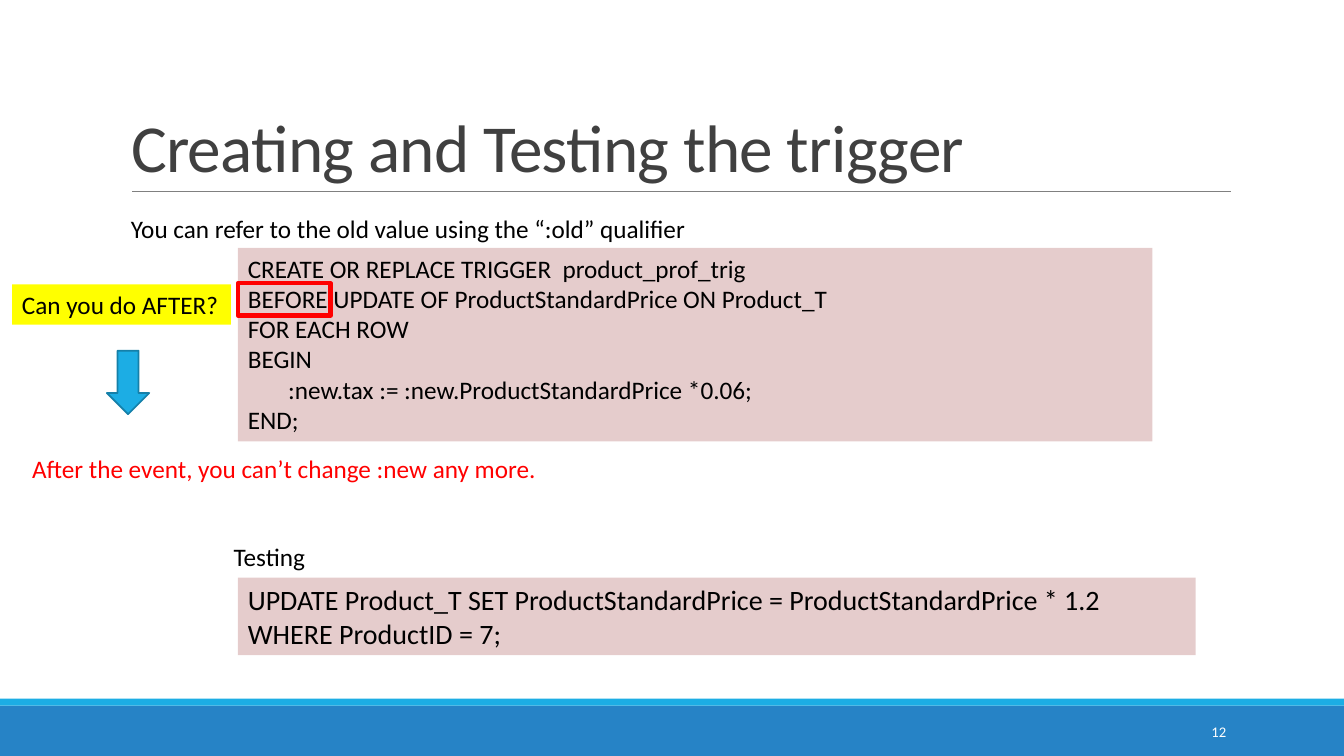
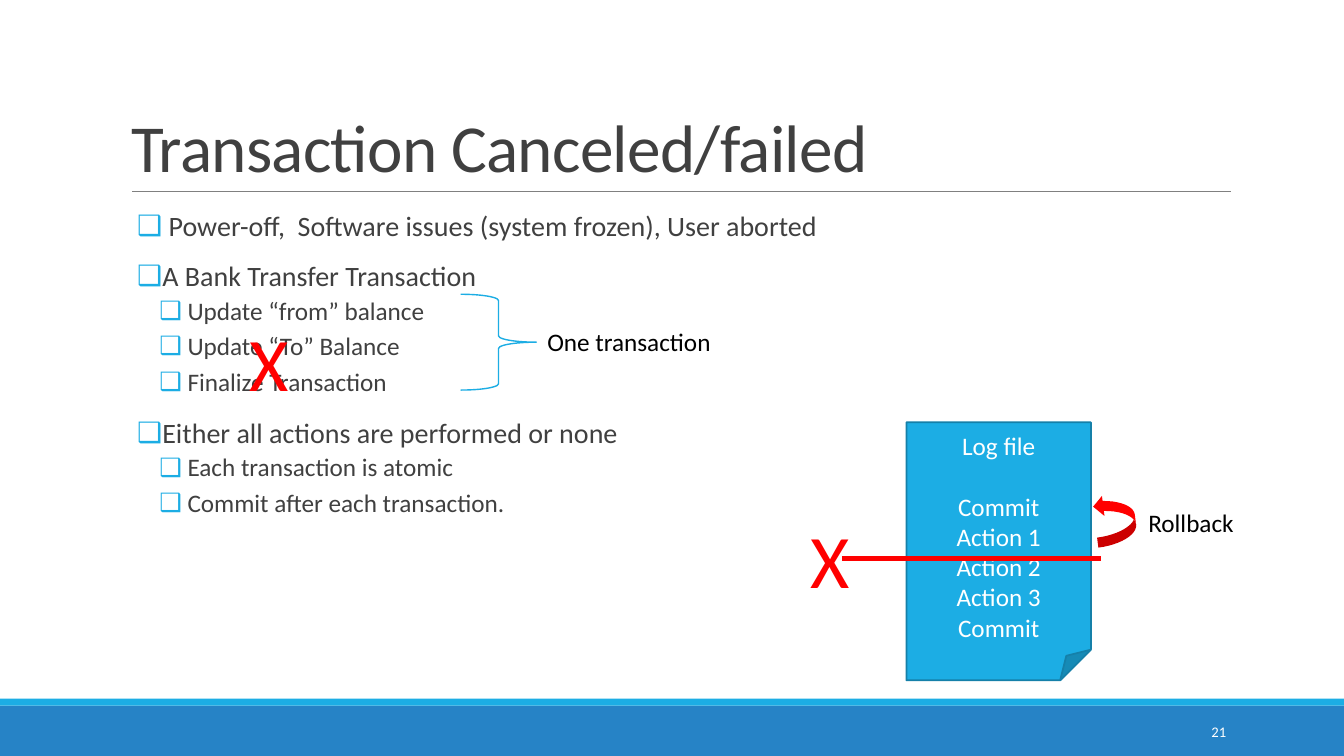
from lxml import etree
from pptx import Presentation
from pptx.dml.color import RGBColor
from pptx.enum.shapes import MSO_CONNECTOR, MSO_SHAPE
from pptx.enum.text import MSO_ANCHOR, MSO_AUTO_SIZE, PP_ALIGN
from pptx.oxml.ns import qn
from pptx.util import Inches, Pt

RECT, DOWN_ARROW = MSO_SHAPE.RECTANGLE, MSO_SHAPE.DOWN_ARROW
BRACE, PAGE = MSO_SHAPE.RIGHT_BRACE, MSO_SHAPE.FOLDED_CORNER
TURN_ARROW = MSO_SHAPE.CURVED_RIGHT_ARROW
STRAIGHT = MSO_CONNECTOR.STRAIGHT
TOP, MIDDLE, BOTTOM = MSO_ANCHOR.TOP, MSO_ANCHOR.MIDDLE, MSO_ANCHOR.BOTTOM
LEFT, CENTER, RIGHT = PP_ALIGN.LEFT, PP_ALIGN.CENTER, PP_ALIGN.RIGHT

FONT = "Calibri"
HEX = {
    "band": "2683C6", "accent": "1CADE4", "edge": "1580A9", "rule": "808080",
    "title": "404040", "text": "000000", "white": "FFFFFF",
    "red": "FF0000", "yellow": "FFFF00", "code": "800000",
}
COLOUR = {role: RGBColor.from_string(value) for role, value in HEX.items()}

prs = Presentation()
prs.slide_width, prs.slide_height = Inches(13.33), Inches(7.5)
# The grid has 100 columns and 100 rows; every place below is (left, top, width, height) in it
COL, ROW = prs.slide_width / 100, prs.slide_height / 100
LINE_ROWS = 5.33


def draw(slide, kind, at, fill=None, line=None, weight=1.0):
    """Add a preset shape, or a text box when kind is None."""
    box = [round(n * unit) for n, unit in zip(at, (COL, ROW, COL, ROW))]
    if kind is None:
        shape = slide.shapes.add_textbox(*box)
    else:
        shape = slide.shapes.add_shape(kind, *box)
        shape.shadow.inherit = False
    if fill:
        shape.fill.solid()
        shape.fill.fore_color.rgb = COLOUR[fill]
    else:
        shape.fill.background()
    if line:
        shape.line.color.rgb = COLOUR[line]
        shape.line.width = Pt(weight)
    else:
        shape.line.fill.background()
    return shape


def write(shape, text, size=18, colour="text", align=LEFT, anchor=TOP):
    """Set the text of a shape and format all of its runs."""
    frame = shape.text_frame
    frame.text = text
    frame.word_wrap = True
    frame.auto_size = MSO_AUTO_SIZE.NONE
    frame.vertical_anchor = anchor
    for paragraph in frame.paragraphs:
        paragraph.alignment = align
        for run in paragraph.runs:
            run.font.name, run.font.size = FONT, Pt(size)
            run.font.color.rgb = COLOUR[colour]
    return frame.paragraphs


# Shared parts: bands, title, title rule, slide number
TITLE_ONLY, TITLE_AND_BODY = prs.slide_layouts[5], prs.slide_layouts[1]
slides = []
for layout, heading, number in [
    (TITLE_ONLY, "Creating and Testing the trigger", "12"),
    (TITLE_AND_BODY, "Transaction Canceled/failed", "21"),
]:
    slide = prs.slides.add_slide(layout)
    slides.append(slide)
    draw(slide, RECT, (0, 93.33, 100, 6.67), "band")
    draw(slide, RECT, (0, 92.4, 100, 0.93), "accent")

    title = slide.shapes.title
    title.left, title.top = round(9 * COL), round(4.13 * ROW)
    title.width, title.height = round(82.5 * COL), round(21.2 * ROW)
    heading_line = write(title, heading, 48, "title", anchor=BOTTOM)[0]
    heading_line.line_spacing = 0.85
    heading_line.runs[0].font._element.set("spc", "-50")

    rule = slide.shapes.add_connector(
        STRAIGHT, *[round(n) for n in (9.83 * COL, 25.33 * ROW, 91.6 * COL, 25.33 * ROW)])
    rule.line.color.rgb, rule.line.width = COLOUR["rule"], Pt(0.5)
    etree.SubElement(rule._element.spPr, qn("a:effectLst"))

    number_box = draw(slide, None, (81.25, 94.13, 10.73, LINE_ROWS))
    write(number_box, number, 10.5, "white", RIGHT, MIDDLE)

trigger, canceled = slides

# Trigger slide: tinted code panels
TRIGGER_CODE = """CREATE OR REPLACE TRIGGER  product_prof_trig
BEFORE UPDATE OF ProductStandardPrice ON Product_T
FOR EACH ROW
BEGIN
:new.tax := :new.ProductStandardPrice *0.06;
END;"""
TEST_CODE = """UPDATE Product_T SET ProductStandardPrice = ProductStandardPrice * 1.2
WHERE ProductID = 7;"""
CODE_LEFT = 17.7
for code, top, width, height, size in [
    (TRIGGER_CODE, 32.8, 68.04, 25.6, 18),
    (TEST_CODE, 76.4, 71.27, 10.27, 20),
]:
    panel = draw(trigger, None, (CODE_LEFT, top, width, height), "code")
    tint = panel._element.spPr.find(qn("a:solidFill"))[0]
    etree.SubElement(tint, qn("a:alpha"), val="20000")
    for statement in write(panel, code, size):
        if statement.text.startswith(":new"):
            statement._p.get_or_add_pPr().set("marL", str(Inches(0.4)))

# Trigger slide: remarks, highlight and arrow
for remark, left, top, width, fill, colour in [
    ("You can refer to the old value using the “:old” qualifier", 9, 27.6, 57, None, "text"),
    ("Testing", 16.65, 70.93, 8, None, "text"),
    ("Can you do AFTER?", 0.9, 37.6, 16.28, "yellow", "text"),
    ("After the event, you can’t change :new any more.", 1.65, 59.33, 42.5, None, "red"),
]:
    write(draw(trigger, None, (left, top, width, LINE_ROWS), fill), remark, colour=colour)
draw(trigger, RECT, (CODE_LEFT, 37.47, 6.9, 4.27), line="red", weight=3)
draw(trigger, DOWN_ARROW, (7.95, 46.4, 3.15, 8.4), "accent", "edge", 1.25)

# Canceled slide: bulleted list
POINTS = [
    (0, " Power-off,  Software issues (system frozen), User aborted"),
    (0, "A Bank Transfer Transaction"),
    (1, "Update “from” balance"),
    (1, "Update “To” Balance"),
    (1, "Finalize Transaction"),
    (0, "Either all actions are performed or none"),
    (1, "Each transaction is atomic"),
    (1, "Commit after each transaction."),
]
# Per level: size, space before, space after, text indent, hanging bullet
LEVELS = [(20, 12, 2, 0.25, 0.25), (18, 2, 4, 0.5, 0.28)]
points = canceled.placeholders[1]
points.left, points.top = round(10.2 * COL), round(27.47 * ROW)
points.width, points.height = round(61.9 * COL), round(67.33 * ROW)
points.text_frame.margin_left = points.text_frame.margin_right = 0
paragraphs = write(points, "\n".join(text for _, text in POINTS), colour="title")
for paragraph, (level, _) in zip(paragraphs, POINTS):
    size, before, after, indent, hang = LEVELS[level]
    paragraph.level = level
    paragraph.line_spacing = 0.9
    paragraph.space_before, paragraph.space_after = Pt(before), Pt(after)
    paragraph.runs[0].font.size = Pt(size)
    props = paragraph._p.get_or_add_pPr()
    props.set("marL", str(Inches(indent)))
    props.set("indent", str(-Inches(hang)))
    bullet_colour = etree.SubElement(props, qn("a:buClr"))
    etree.SubElement(bullet_colour, qn("a:srgbClr"), val=HEX["accent"])
    etree.SubElement(props, qn("a:buChar"), char="❑")

# Canceled slide: brace, log file and rollback
draw(canceled, BRACE, (34.28, 38.93, 5.63, 12.67), line="accent")
log_file = draw(canceled, PAGE, (67.44, 55.87, 13.73, 34.13), "accent", "edge", 1.25)
log_lines = write(log_file, "Log file\nCommit\nAction 1\nAction 2\nAction 3\nCommit",
                  colour="white", align=CENTER, anchor=MIDDLE)
log_lines[0].space_after = Pt(22)
rollback = draw(canceled, TURN_ARROW, (81.47, 65.33, 3, 6.8), "red")
rollback.rotation = 172.7
for label, left, top, width in [("One transaction", 39.98, 42.53, 15),
                                ("Rollback", 84.7, 66.4, 9)]:
    write(draw(canceled, None, (left, top, width, LINE_ROWS)), label)

# Canceled slide: failure marks and the line where the log breaks off
for left, top in [(16.2, 41.07), (57.91, 67.2)]:
    write(draw(canceled, None, (left, top, 7.65, 13.47)), "X", 54, "red", CENTER)
failure = canceled.shapes.add_connector(
    STRAIGHT, *[round(n) for n in (62.64 * COL, 73.87 * ROW, 81.92 * COL, 73.87 * ROW)])
failure.line.color.rgb, failure.line.width = COLOUR["red"], Pt(3)
etree.SubElement(failure._element.spPr, qn("a:effectLst"))

prs.save("out.pptx")
